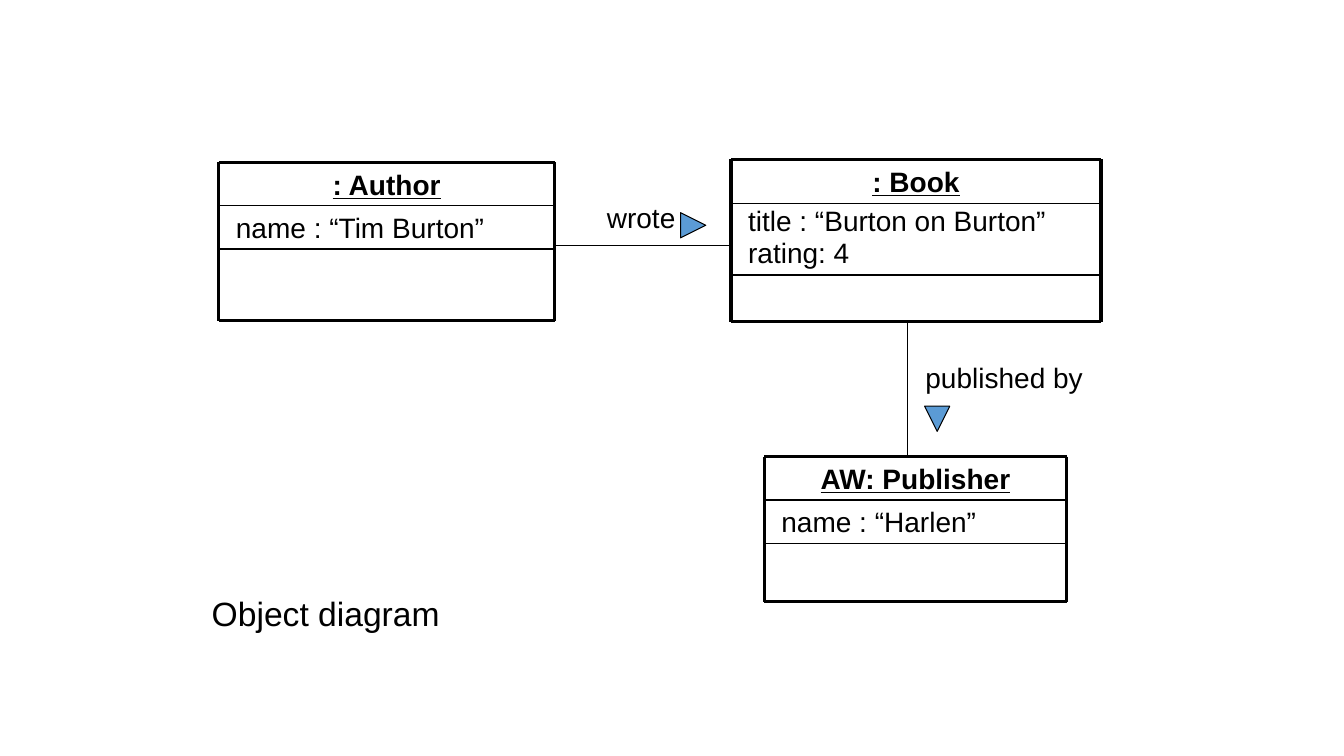
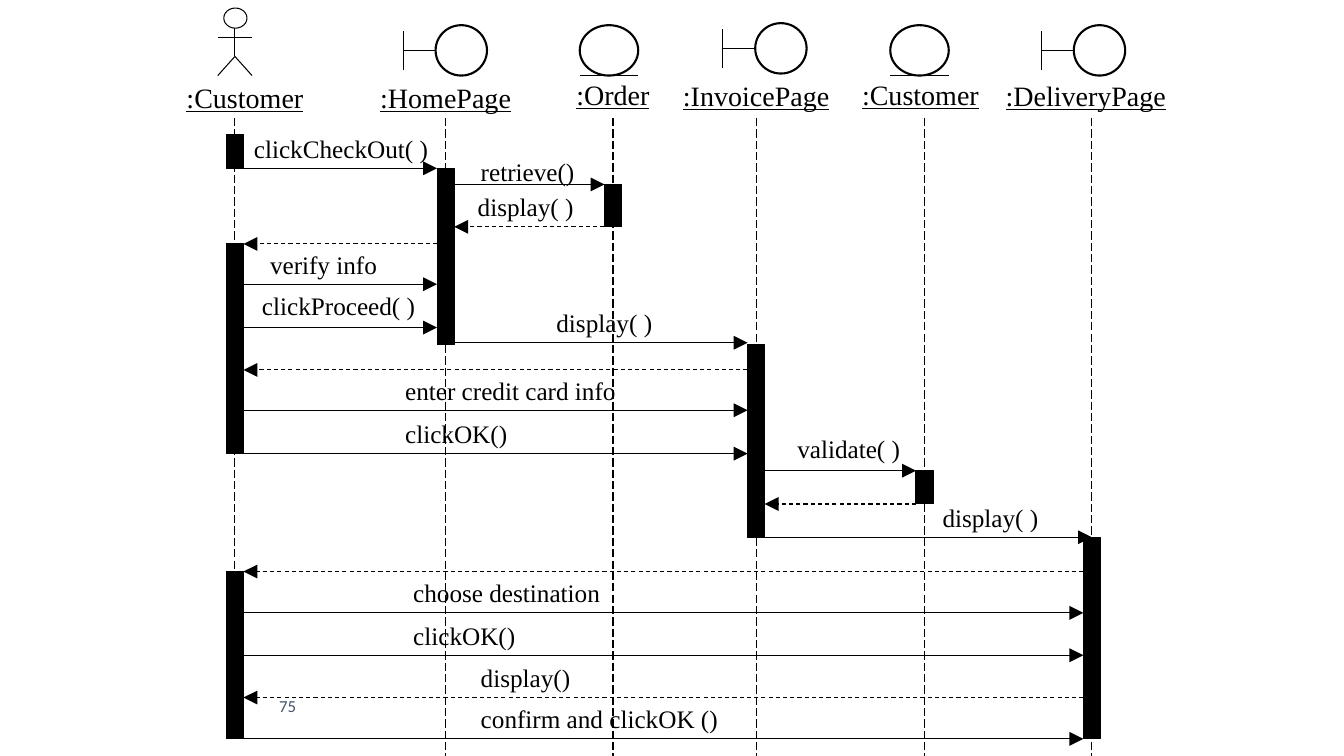
"""Build two UML slides: an object diagram and a sequence diagram."""
from lxml import etree
from pptx import Presentation
from pptx.dml.color import RGBColor
from pptx.enum.dml import MSO_LINE
from pptx.enum.shapes import MSO_CONNECTOR, MSO_SHAPE
from pptx.enum.text import MSO_ANCHOR, MSO_AUTO_SIZE, PP_ALIGN
from pptx.oxml.ns import qn
from pptx.util import Inches, Pt

STRAIGHT = MSO_CONNECTOR.STRAIGHT
RECT, OVAL, TRIANGLE = MSO_SHAPE.RECTANGLE, MSO_SHAPE.OVAL, MSO_SHAPE.ISOSCELES_TRIANGLE
DASH, LONG_DASH = MSO_LINE.DASH, MSO_LINE.LONG_DASH
LEFT, CENTER = PP_ALIGN.LEFT, PP_ALIGN.CENTER
TOP, MIDDLE = MSO_ANCHOR.TOP, MSO_ANCHOR.MIDDLE
NO_AUTOFIT = MSO_AUTO_SIZE.NONE
TITLE_ONLY, BLANK = 5, 6

BLACK, BLUE, SLATE = "000000", "5B9BD5", "44546A"
THIN, MEDIUM, OUTLINE, THICK = 0.75, 1, 1.5, 2.25
BAR_W, LABEL_H = 0.17, 0.4

OBJECT_TEXT = {"name": "Arial", "size": Pt(20)}
OBJECT_NAME = {**OBJECT_TEXT, "bold": True, "underline": True}
CAPTION = {"name": "Arial", "size": Pt(24), "bold": False}
PARTICIPANT = {"name": "Times New Roman", "size": Pt(20), "underline": True}
MESSAGE = {"name": "Times New Roman", "size": Pt(18)}
PAGE_NUMBER = {"name": "Calibri", "size": Pt(12)}

OBJECTS = [
    (2.17, 3.33, [1.61, 2.04, 2.47, 3.18], ": Author", ["name : “Tim Burton”"]),
    (7.25, 3.67, [1.58, 2.02, 2.73, 3.19], ": Book",
     ["title : “Burton on Burton”", "rating: 4"]),
    (7.58, 3, [4.53, 4.96, 5.39, 5.97], "AW: Publisher", ["name : “Harlen”"]),
]

LIFELINES = {
    "customer": (2.33, 6.67),
    "home": (4.42, 7.5),
    "order": (6.08, 7.5),
    "invoice": (7.5, 7.5),
    "account": (9.17, 7.5),
    "delivery": (10.83, 7.5),
}

PARTICIPANTS = [
    (":Customer", 2.43, 0.75),
    (":HomePage", 4.42, 0.75),
    (":Order", 6.08, 0.72),
    (":InvoicePage", 7.5, 0.73),
    (":Customer", 9.13, 0.72),
    (":DeliveryPage", 10.77, 0.73),
]

ACTIVATIONS = [
    ("customer", 1.33, 1.67),
    ("customer", 2.42, 4.5),
    ("customer", 5.67, 7.33),
    ("home", 1.67, 3.42),
    ("order", 1.83, 2.25),
    ("invoice", 3.42, 5.33),
    ("account", 4.67, 5),
    ("delivery", 5.33, 7.33),
]

CALLS = [
    ("customer", "home", 1.67, "clickCheckOut( )", 2.42, 1.27),
    ("home", "order", 1.83, "retrieve()", 4.67, 1.5),
    ("customer", "home", 2.82, "verify info", 2.58, 2.42),
    ("customer", "home", 3.25, "clickProceed( )", 2.5, 2.83),
    ("home", "invoice", 3.4, "display( )", 5.42, 3),
    ("customer", "invoice", 4.07, "enter credit card info", 3.92, 3.67),
    ("customer", "invoice", 4.5, "clickOK()", 3.92, 4.1),
    ("invoice", "account", 4.67, "validate( )", 7.81, 4.25),
    ("invoice", "delivery", 5.33, "display( )", 9.25, 4.93, BAR_W / 2),
    ("customer", "delivery", 6.08, "choose destination", 4, 5.68),
    ("customer", "delivery", 6.5, "clickOK()", 4, 6.1),
    ("customer", "delivery", 7.33, "confirm and clickOK ()", 4.67, 6.93),
]

RETURNS = [
    ("order", "home", 2.25, "display( )", 4.64, 1.85),
    ("home", "customer", 2.42),
    ("invoice", "customer", 3.67),
    ("account", "invoice", 5),
    ("delivery", "customer", 5.67),
    ("delivery", "customer", 6.92, "display()", 4.67, 6.52),
]


def rgb(color):
    """Turn a hex string into a colour."""
    return RGBColor.from_string(color)


def place(sp, x, y, w, h):
    """Move and size a shape in inches."""
    for name, value in {"left": x, "top": y, "width": w, "height": h}.items():
        setattr(sp, name, Inches(value))


def write(sp, lines, fmt, color=BLACK, align=LEFT, anchor=TOP, indent=0.1):
    """Fill a text frame with formatted paragraphs."""
    tf = sp.text_frame
    frame = {"word_wrap": True, "auto_size": NO_AUTOFIT, "vertical_anchor": anchor,
             "margin_left": Inches(indent)}
    for name, value in frame.items():
        setattr(tf, name, value)
    for i, line in enumerate(lines):
        p = tf.add_paragraph() if i else tf.paragraphs[0]
        p.alignment = align
        if len(lines) > 1:
            p.line_spacing = 0.85
        if i:
            p.space_before = Pt(2.5)
        r = p.add_run()
        r.text = line
        for name, value in fmt.items():
            setattr(r.font, name, value)
        r.font.color.rgb = rgb(color)


def add_text(s, x, y, w, h, lines, fmt, **options):
    """Add a text box."""
    sp = s.shapes.add_textbox(Inches(x), Inches(y), Inches(w), Inches(h))
    write(sp, lines, fmt, **options)


def add_line(s, x1, y1, x2, y2, width=THIN, dash=None, arrow=False):
    """Add a straight black line, with an arrowhead if asked."""
    line = s.shapes.add_connector(STRAIGHT, Inches(x1), Inches(y1), Inches(x2), Inches(y2))
    line.line.color.rgb = rgb(BLACK)
    line.line.width = Pt(width)
    if dash:
        line.line.dash_style = dash
    if arrow:
        etree.SubElement(line.line._get_or_add_ln(), qn("a:tailEnd"),
                         type="triangle", w="lg", len="lg")
    etree.SubElement(line._element.spPr, qn("a:effectLst"))


def add_shape(s, kind, x, y, w, h, fill=None, width=THIN, rotation=0):
    """Add a preset shape with a black outline."""
    sp = s.shapes.add_shape(kind, Inches(x), Inches(y), Inches(w), Inches(h))
    sp.shadow.inherit = False
    sp.rotation = rotation
    sp.line.color.rgb = rgb(BLACK)
    sp.line.width = Pt(width)
    if fill:
        sp.fill.solid()
        sp.fill.fore_color.rgb = rgb(fill)
    else:
        sp.fill.background()


def add_object(s, x, w, rows, name, attributes):
    """Add an object box with name, attribute and operation rows."""
    top, attribute_top, operation_top, bottom = rows
    add_text(s, x, attribute_top, w, operation_top - attribute_top, attributes,
             OBJECT_TEXT, indent=0.17)
    add_text(s, x, top, w, attribute_top - top, [name], OBJECT_NAME, align=CENTER)
    for y, width in zip(rows, (THICK, MEDIUM, MEDIUM, THICK)):
        add_line(s, x, y, x + w, y, width)
    for side in (x, x + w):
        add_line(s, side, top, side, bottom, THICK)


def add_actor(s, x, y):
    """Add a stick figure centred on x."""
    hip, foot = y + 0.48, y + 0.67
    add_shape(s, OVAL, x - 0.11, y, 0.23, 0.2)
    add_line(s, x, y + 0.2, x, hip)
    add_line(s, x - 0.17, y + 0.29, x + 0.17, y + 0.29)
    for side in (-0.17, 0.17):
        add_line(s, x, hip, x + side, foot)


def add_boundary(s, x, y):
    """Add a boundary symbol: a bar joined to a circle."""
    add_shape(s, OVAL, x + 0.32, y, 0.51, 0.5, width=OUTLINE)
    add_line(s, x, y + 0.25, x + 0.32, y + 0.25)
    add_line(s, x, y + 0.06, x, y + 0.44)


def add_entity(s, x, y):
    """Add an entity symbol: an underlined circle."""
    add_shape(s, OVAL, x, y, 0.58, 0.5, width=OUTLINE)
    add_line(s, x, y + 0.5, x + 0.58, y + 0.5)


def add_message(s, sender, receiver, y, label="", label_x=0, label_y=0, reach=0, dash=None):
    """Add a labelled arrow between the edges of two activation bars."""
    x1, x2 = LIFELINES[sender][0], LIFELINES[receiver][0]
    edge = BAR_W / 2 if x2 > x1 else -BAR_W / 2
    add_line(s, x1 + edge, y, x2 - edge + reach, y, dash=dash, arrow=True)
    if label:
        width = 0.6 + 0.1 * len(label)
        add_text(s, label_x, label_y, width, LABEL_H, [label], MESSAGE)


def build_object_diagram(prs):
    """Build the object diagram slide."""
    s = prs.slides.add_slide(prs.slide_layouts[TITLE_ONLY])
    place(s.shapes.title, 2, 5.83, 4.25, 0.5)
    write(s.shapes.title, ["Object diagram"], CAPTION)
    for item in OBJECTS:
        add_object(s, *item)
    add_line(s, 5.5, 2.44, 7.25, 2.44)
    add_line(s, 9, 3.19, 9, 4.53)
    add_shape(s, TRIANGLE, 6.75, 2.11, 0.25, 0.25, BLUE, rotation=90)
    add_shape(s, TRIANGLE, 9.17, 4.03, 0.25, 0.25, BLUE, rotation=180)
    add_text(s, 5.92, 1.94, 0.92, 0.43, ["wrote"], OBJECT_TEXT)
    add_text(s, 9.08, 3.53, 2, 0.43, ["published by"], OBJECT_TEXT)


def build_sequence_diagram(prs):
    """Build the sequence diagram slide."""
    s = prs.slides.add_slide(prs.slide_layouts[BLANK])
    add_text(s, 2.67, 6.75, 4.33, 0.5, ["75"], PAGE_NUMBER, color=SLATE, anchor=MIDDLE)
    for x, end in LIFELINES.values():
        add_line(s, x, 1.17, x, end, dash=LONG_DASH)
    add_actor(s, LIFELINES["customer"][0], 0.08)
    for x, y in ((4, 0.25), (7.17, 0.23), (10.33, 0.25)):
        add_boundary(s, x, y)
    for x in (5.75, 8.83):
        add_entity(s, x, 0.25)
    for name, center, y in PARTICIPANTS:
        add_text(s, center - 1, y, 2, 0.43, [name], PARTICIPANT, align=CENTER)
    for owner, start, end in ACTIVATIONS:
        x = LIFELINES[owner][0] - BAR_W / 2
        add_shape(s, RECT, x, start, BAR_W, end - start, BLACK)
    for call in CALLS:
        add_message(s, *call)
    for reply in RETURNS:
        add_message(s, *reply, dash=DASH)


def main():
    """Build and save the presentation."""
    prs = Presentation()
    prs.slide_width, prs.slide_height = Inches(13.33), Inches(7.5)
    build_object_diagram(prs)
    build_sequence_diagram(prs)
    prs.save("out.pptx")


if __name__ == "__main__":
    main()
